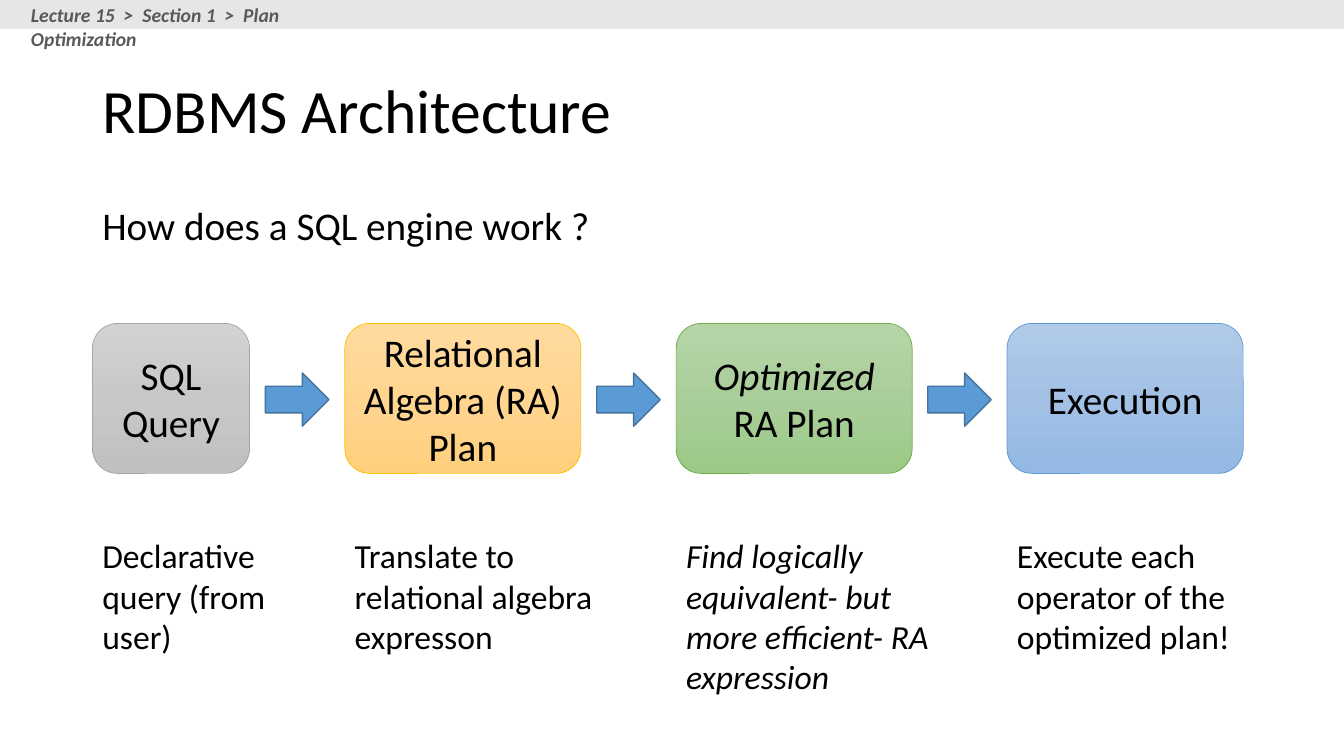
"""Builds the RDBMS Architecture slide: four query processing stages joined by arrows."""
from copy import deepcopy

from pptx import Presentation
from pptx.dml.color import RGBColor
from pptx.enum.shapes import MSO_SHAPE
from pptx.enum.text import MSO_ANCHOR, MSO_AUTO_SIZE, PP_ALIGN
from pptx.oxml.ns import qn
from pptx.util import Cm, Pt

RECTANGLE = MSO_SHAPE.RECTANGLE
ROUNDED = MSO_SHAPE.ROUNDED_RECTANGLE
ARROW = MSO_SHAPE.RIGHT_ARROW
MIDDLE = MSO_ANCHOR.MIDDLE
CENTER = PP_ALIGN.CENTER
GROW = MSO_AUTO_SIZE.SHAPE_TO_FIT_TEXT

BLACK = "000000"
MARGIN = 2.33
STAGE_TOP, STAGE_HEIGHT = 8.15, 3.78
ARROW_WIDTH, ARROW_HEIGHT, ARROW_OFFSET = 1.6, 1.34, 2
NOTE_TOP = 13.36


def color(value):
    return RGBColor.from_string(value)


def write(shape, runs, size, ink=BLACK, bold=False):
    frame = shape.text_frame
    frame.word_wrap = True
    paragraph = frame.paragraphs[0]
    for text, italic in runs:
        run = paragraph.add_run()
        run.text = text
        run.font.name = "Calibri"
        run.font.size = Pt(size)
        run.font.bold = bold
        run.font.italic = italic
        run.font.color.rgb = color(ink)
    return frame


presentation = Presentation()
presentation.slide_width = Cm(33.87)
presentation.slide_height = Cm(19.05)
slide = presentation.slides.add_slide(presentation.slide_layouts[6])
shapes = slide.shapes

title = shapes.add_textbox(Cm(MARGIN), Cm(1.01), Cm(29.21), Cm(3.68))
frame = write(title, [("RDBMS Architecture", False)], 44)
frame.vertical_anchor = MIDDLE
frame.paragraphs[0].line_spacing = 0.9

question = shapes.add_textbox(Cm(MARGIN), Cm(5.07), Cm(29.21), Cm(1.68))
frame = write(question, [("How does a SQL engine work ?", False)], 28)
frame.paragraphs[0].line_spacing = 0.9
frame.paragraphs[0].space_before = Pt(10)

stages = [
    (MARGIN, 3.96, 5.05, 3.33, ("D2D2D2", "C8C8C8", "C0C0C0"), "A5A5A5",
     [("SQL Query", False)],
     [("Declarative query (from user)", False)]),
    (8.69, 5.95, 6.86, 3.33, ("FFDB9E", "FFD590", "FFD07C"), "FFC000",
     [("Relational Algebra (RA) Plan", False)],
     [("Translate to relational algebra expresson", False)]),
    (17.04, 5.95, 6.86, 4.37, ("B5D5A7", "AACE9A", "9CC987"), "70AD47",
     [("Optimized", True), (" RA Plan", False)],
     [("Find logically equivalent- but more efficient- RA expression", True)]),
    (25.38, 5.95, 6.86, 3.33, ("B1CBE9", "A3C1E5", "93B9E4"), "5B9BD5",
     [("Execution", False)],
     [("Execute each operator of the optimized plan!", False)]),
]

for index, (left, width, note_width, note_height, gradient, outline, label, note) in enumerate(stages):
    if index:
        arrow = shapes.add_shape(ARROW, Cm(left - ARROW_OFFSET), Cm(9.4),
                                 Cm(ARROW_WIDTH), Cm(ARROW_HEIGHT))
        arrow.shadow.inherit = False
        arrow.fill.solid()
        arrow.fill.fore_color.rgb = color("5B9BD5")
        arrow.line.color.rgb = color("43739E")
        arrow.line.width = Pt(1)

    stage = shapes.add_shape(ROUNDED, Cm(left), Cm(STAGE_TOP), Cm(width), Cm(STAGE_HEIGHT))
    stage.shadow.inherit = False
    stage.fill.gradient()
    stage.fill.gradient_angle = 270
    stop_list = next(stage._element.spPr.iter(qn("a:gsLst")))
    stop_list.append(deepcopy(stop_list[0]))
    for stop, position, tone in zip(stage.fill.gradient_stops, (0, 0.5, 1), gradient):
        stop.position = position
        stop.color.rgb = color(tone)
    stage.line.color.rgb = color(outline)
    stage.line.width = Pt(0.5)
    frame = write(stage, label, 28)
    frame.vertical_anchor = MIDDLE
    frame.paragraphs[0].alignment = CENTER

    description = shapes.add_textbox(Cm(left), Cm(NOTE_TOP), Cm(note_width), Cm(note_height))
    write(description, note, 24).auto_size = GROW

band = shapes.add_shape(RECTANGLE, 0, 0, presentation.slide_width, Cm(0.73))
band.shadow.inherit = False
band.fill.solid()
band.fill.fore_color.rgb = color("E7E6E6")
band.line.fill.background()

breadcrumb = shapes.add_textbox(Cm(0.53), Cm(-0.05), Cm(9.37), Cm(0.86))
write(breadcrumb, [("Lecture 15  >  Section 1  >  Plan Optimization", True)], 14, "595959", True)

presentation.save("out.pptx")
